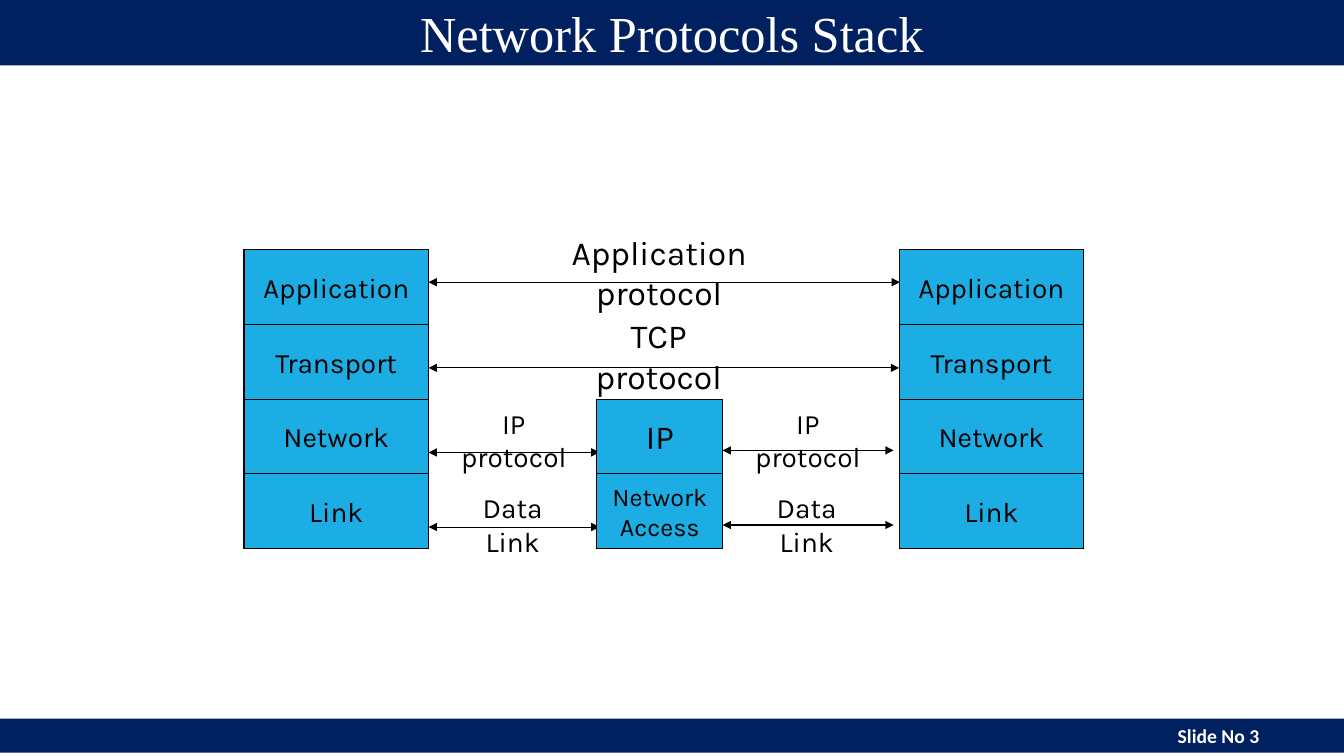
import dataclasses

import lxml.etree
import pptx
import pptx.dml.color
import pptx.enum.shapes
import pptx.enum.text
import pptx.oxml.ns
import pptx.util

Cm = pptx.util.Cm
Pt = pptx.util.Pt
ALIGN = pptx.enum.text.PP_ALIGN
ANCHOR = pptx.enum.text.MSO_ANCHOR

NAVY = "002060"
BLUE = "1CADE4"
BLACK = "000000"
WHITE = "FFFFFF"
SLIDE_WIDTH = 33.87
STACK_TOP = 6.3
LAYER_HEIGHT = 1.88
HOP_SHIFT = 7.41
HOP_RISE = 0.05


@dataclasses.dataclass(frozen=True)
class Layer:
    text: str
    size: int = 20


@dataclasses.dataclass(frozen=True)
class Stack:
    left: float
    width: float
    first_row: int
    layers: tuple[Layer, ...]


@dataclasses.dataclass(frozen=True)
class Protocol:
    text: str
    size: int
    center: float
    top: float
    width: float
    height: float
    line_y: float
    line_end: float
    line_start: float = 10.8


HOST_LAYERS = (Layer("Application"), Layer("Transport"), Layer("Network"), Layer("Link"))
ROUTER_LAYERS = (Layer("IP", 24), Layer("Network Access", 18))
STACKS = (
    Stack(6.15, 4.65, 0, HOST_LAYERS),
    Stack(15.04, 3.18, 2, ROUTER_LAYERS),
    Stack(22.66, 4.65, 0, HOST_LAYERS),
)
END_TO_END = (
    Protocol("Application protocol", 24, 16.61, 5.71, 7.87, 1.27, 7.11, 22.68),
    Protocol("TCP protocol", 24, 16.6, 7.82, 5.25, 1.27, 9.27, 22.66),
)
FIRST_HOP = (
    Protocol("IP protocol", 20, 12.95, 10.11, 3.9, 1.12, 11.4, 15.11),
    Protocol("Data Link", 20, 12.92, 12.24, 2.11, 1.96, 13.28, 15.11),
)
SECOND_HOP = tuple(
    dataclasses.replace(
        protocol,
        center=protocol.center + HOP_SHIFT,
        line_start=protocol.line_start + HOP_SHIFT,
        line_end=protocol.line_end + HOP_SHIFT,
        line_y=protocol.line_y - HOP_RISE,
    )
    for protocol in FIRST_HOP
)


def color(value: str) -> pptx.dml.color.RGBColor:
    return pptx.dml.color.RGBColor.from_string(value)


def fill_shape(shape, value: str) -> None:
    shape.fill.solid()
    shape.fill.fore_color.rgb = color(value)


def write_text(shape, text: str, size: int, font: str, value: str,
               align=ALIGN.CENTER, anchor=ANCHOR.MIDDLE, bold: bool = False) -> None:
    frame = shape.text_frame
    frame.word_wrap = True
    frame.auto_size = pptx.enum.text.MSO_AUTO_SIZE.NONE
    frame.vertical_anchor = anchor
    paragraph = frame.paragraphs[0]
    paragraph.alignment = align
    run = paragraph.add_run()
    run.text = text
    run.font.size = Pt(size)
    run.font.name = font
    run.font.bold = bold
    run.font.color.rgb = color(value)


def add_rectangle(slide, left: float, top: float, width: float, height: float, value: str):
    shape = slide.shapes.add_shape(
        pptx.enum.shapes.MSO_SHAPE.RECTANGLE, Cm(left), Cm(top), Cm(width), Cm(height))
    shape.shadow.inherit = False
    fill_shape(shape, value)
    return shape


def add_title(slide) -> None:
    title = slide.shapes.title
    title.left, title.top, title.width, title.height = Cm(0), Cm(0), Cm(SLIDE_WIDTH), Cm(1.65)
    fill_shape(title, NAVY)
    write_text(title, "Network Protocols Stack", 36, "Times New Roman", WHITE)


def add_footer(slide) -> None:
    footer = add_rectangle(slide, 0, 18.11, SLIDE_WIDTH, 0.86, NAVY)
    footer.line.fill.background()
    footer.text_frame.margin_right = Cm(2.13)
    write_text(footer, "Slide No 3", 14, "Calibri", WHITE, ALIGN.RIGHT, ANCHOR.TOP, True)


def add_stack(slide, stack: Stack) -> None:
    for row, layer in enumerate(stack.layers, stack.first_row):
        top = STACK_TOP + row * LAYER_HEIGHT
        shape = add_rectangle(slide, stack.left, top, stack.width, LAYER_HEIGHT, BLUE)
        shape.line.color.rgb = color(BLACK)
        shape.line.width = Pt(0.75)
        write_text(shape, layer.text, layer.size, "Karla", BLACK)


def add_protocol(slide, protocol: Protocol) -> None:
    arrow = slide.shapes.add_connector(
        pptx.enum.shapes.MSO_CONNECTOR.STRAIGHT,
        Cm(protocol.line_start), Cm(protocol.line_y),
        Cm(protocol.line_end), Cm(protocol.line_y))
    arrow.line.color.rgb = color(BLACK)
    arrow.line.width = Pt(0.75)
    properties = arrow._element.spPr
    outline = properties.find(pptx.oxml.ns.qn("a:ln"))
    for end in ("a:headEnd", "a:tailEnd"):
        lxml.etree.SubElement(outline, pptx.oxml.ns.qn(end), type="triangle")
    lxml.etree.SubElement(properties, pptx.oxml.ns.qn("a:effectLst"))

    label = slide.shapes.add_textbox(
        Cm(protocol.center - protocol.width / 2), Cm(protocol.top),
        Cm(protocol.width), Cm(protocol.height))
    write_text(label, protocol.text, protocol.size, "Karla", BLACK, anchor=ANCHOR.TOP)


def main() -> None:
    presentation = pptx.Presentation()
    presentation.slide_width = Cm(SLIDE_WIDTH)
    presentation.slide_height = Cm(19.05)
    slide = presentation.slides.add_slide(presentation.slide_layouts[5])
    add_title(slide)
    add_footer(slide)
    left_host, router, right_host = STACKS
    add_stack(slide, left_host)
    for protocol in END_TO_END + FIRST_HOP:
        add_protocol(slide, protocol)
    add_stack(slide, router)
    for protocol in SECOND_HOP:
        add_protocol(slide, protocol)
    add_stack(slide, right_host)
    presentation.save("out.pptx")


if __name__ == "__main__":
    main()
